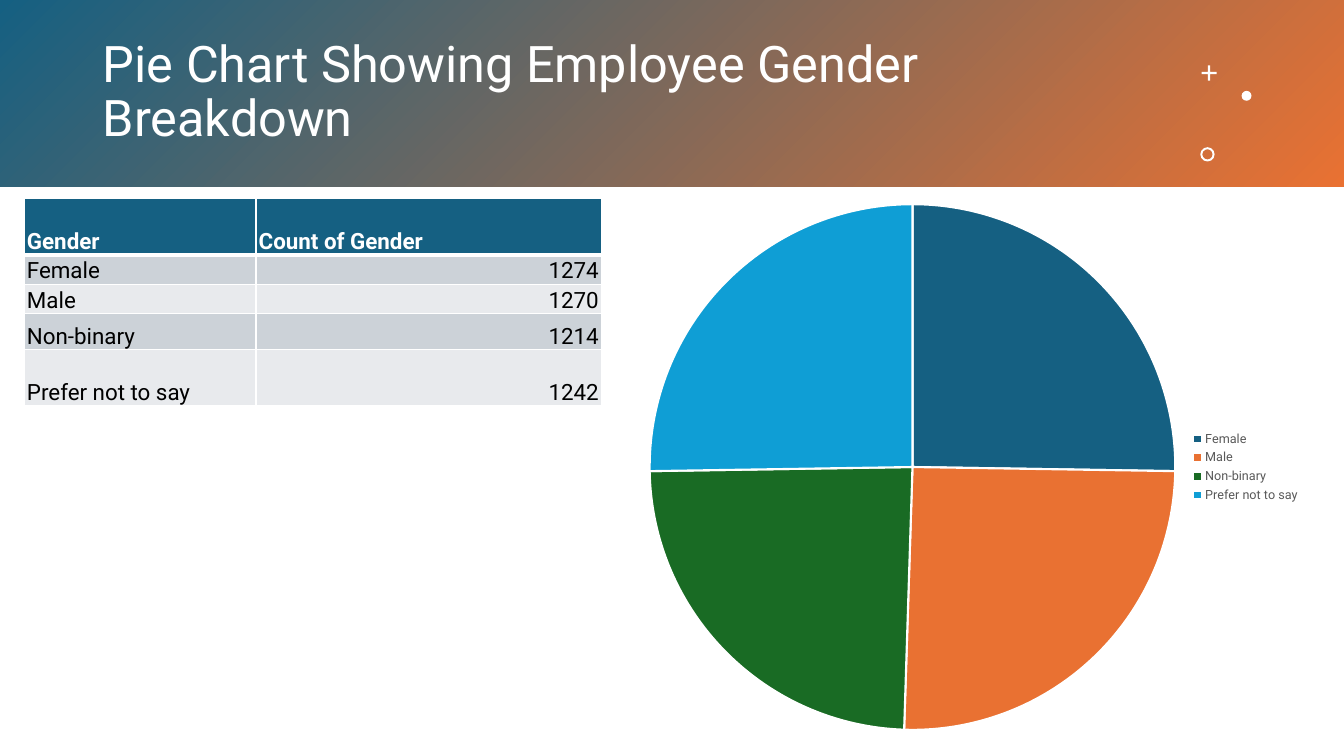
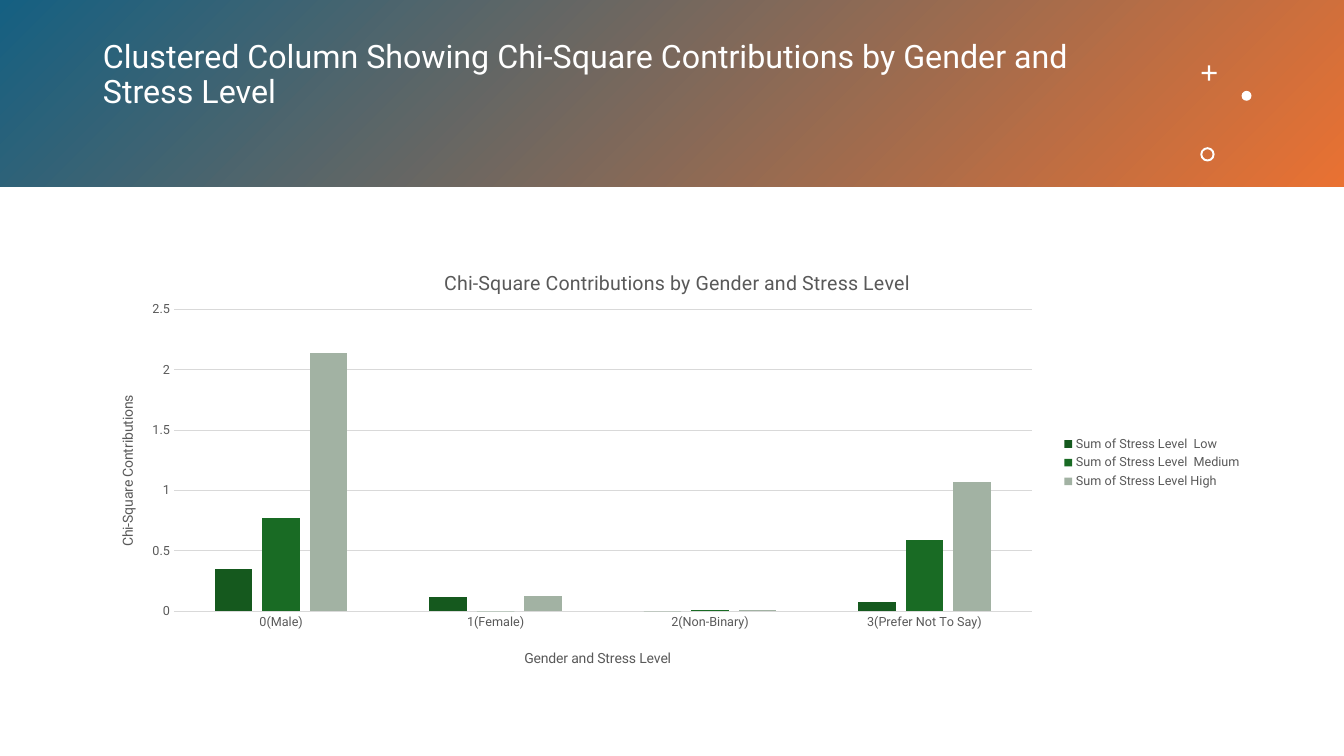
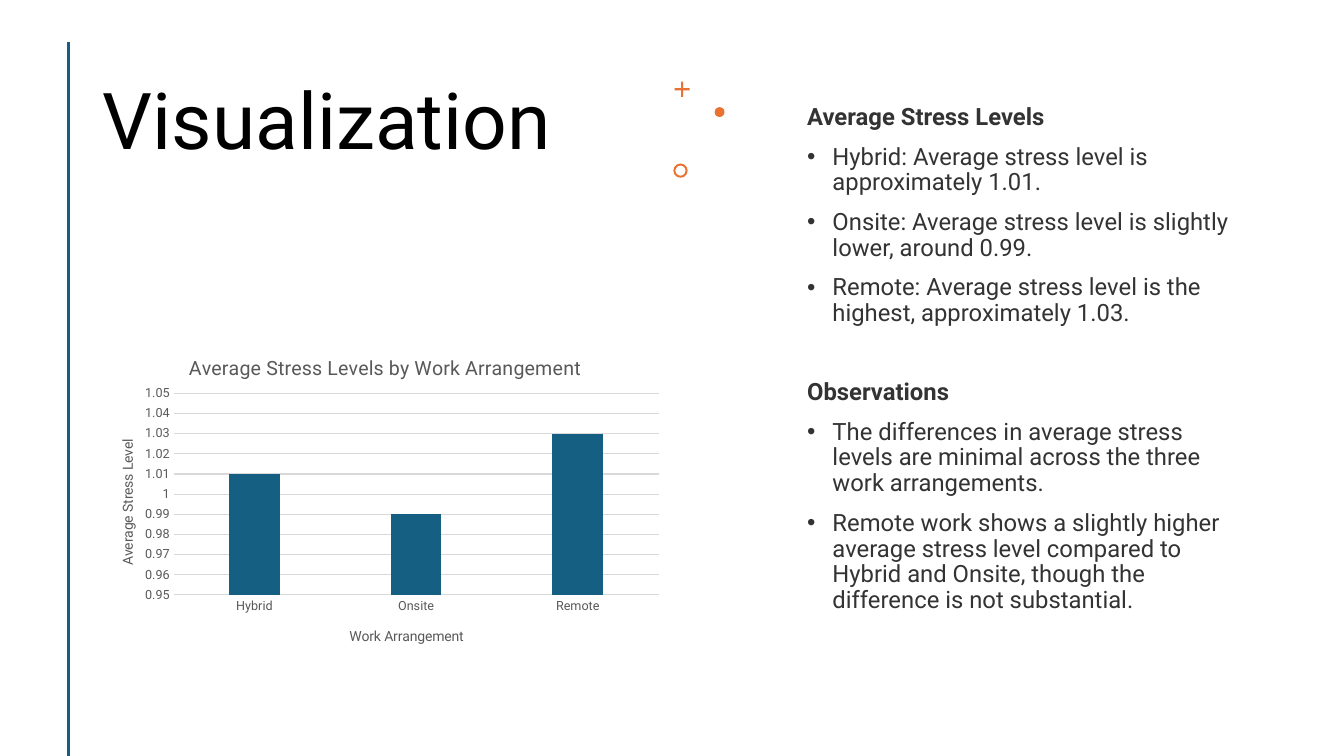
from dataclasses import dataclass
from typing import Any

from lxml.etree import SubElement
from pptx import Presentation
from pptx.chart.data import CategoryChartData
from pptx.dml.color import RGBColor
from pptx.enum.chart import XL_CHART_TYPE, XL_LEGEND_POSITION, XL_TICK_MARK
from pptx.enum.shapes import MSO_CONNECTOR, MSO_SHAPE
from pptx.enum.text import MSO_ANCHOR, MSO_AUTO_SIZE, PP_ALIGN
from pptx.oxml.ns import qn
from pptx.util import Cm, Pt

FONT = "Roboto"
WHITE = RGBColor(0xFF, 0xFF, 0xFF)
BLACK = RGBColor(0, 0, 0)
BLUE = RGBColor(0x15, 0x60, 0x82)
ORANGE = RGBColor(0xE9, 0x71, 0x32)
GREEN = RGBColor(0x19, 0x6B, 0x24)
DARK = RGBColor(0x15, 0x59, 0x1E)
SAGE = RGBColor(0xA2, 0xB2, 0xA3)
SKY = RGBColor(0x0F, 0x9E, 0xD5)
GREY = RGBColor(0x59, 0x59, 0x59)
RULE = RGBColor(0xD9, 0xD9, 0xD9)
INK = RGBColor(0x33, 0x33, 0x33)
BANDS = (RGBColor(0xCC, 0xD2, 0xD8), RGBColor(0xE8, 0xEA, 0xED))

WIDE, HIGH = 33.87, 19.05
LEFT = 2.34

Box = tuple[float, float, float, float]


@dataclass
class Icon:
    kind: MSO_SHAPE
    x: float
    y: float
    size: float
    ratio: float | None = None


@dataclass
class Label:
    text: str
    x: float
    y: float
    size: int = 10


@dataclass
class Series:
    name: str
    values: tuple[float, ...]
    color: RGBColor


@dataclass
class Columns:
    box: Box
    plot: Box
    title: Label
    across: Label
    upright: Label
    names: tuple[str, ...]
    series: list[Series]
    scale: dict[str, float]
    legend: bool = False


@dataclass
class Part:
    head: str
    points: tuple[str, ...]
    before: int


ICONS = (
    Icon(MSO_SHAPE.CROSS, 0.03, 0, 0.38, 0.43),
    Icon(MSO_SHAPE.OVAL, 1.04, 0.64, 0.25),
    Icon(MSO_SHAPE.DONUT, 0, 2.06, 0.36, 0.14),
)


# Shared helpers
def assign(item: Any, values: dict[str, Any]) -> None:
    for name, value in values.items():
        setattr(item, name, value)


def set_font(font: Any, size: float, color: RGBColor, bold: bool = False) -> None:
    assign(font, {"name": FONT, "size": Pt(size), "bold": bold})
    font.color.rgb = color


def paint(item: Any, color: RGBColor) -> None:
    item.fill.solid()
    item.fill.fore_color.rgb = color


def spot(box: Box) -> list[Cm]:
    return [Cm(value) for value in box]


def add_icons(slide: Any, x: float, y: float, color: RGBColor) -> None:
    for icon in ICONS:
        box = (x + icon.x, y + icon.y, icon.size, icon.size)
        shape = slide.shapes.add_shape(icon.kind, *spot(box))
        if icon.ratio:
            shape.adjustments[0] = icon.ratio
        shape.shadow.inherit = False
        paint(shape, color)
        shape.line.fill.background()


def set_title(slide: Any, text: str, box: Box, size: int, color: RGBColor,
              anchor: MSO_ANCHOR, bottom: float = 0.13) -> None:
    title = slide.shapes.title
    assign(title, dict(zip(("left", "top", "width", "height"), spot(box))))
    frame = title.text_frame
    assign(frame, {
        "text": text, "word_wrap": True, "auto_size": MSO_AUTO_SIZE.NONE,
        "vertical_anchor": anchor, "margin_bottom": Cm(bottom),
    })
    line = frame.paragraphs[0]
    assign(line, {"alignment": PP_ALIGN.LEFT, "line_spacing": 0.9})
    set_font(line.runs[0].font, size, color)


def add_header(slide: Any, text: str, size: int, bottom: float = 0.13) -> None:
    band = slide.shapes.add_shape(MSO_SHAPE.RECTANGLE, *spot((0, 0, WIDE, 4.7)))
    band.shadow.inherit = False
    band.line.fill.background()
    band.fill.gradient()
    band.fill.gradient_angle = 315
    for stop, color, place in zip(band.fill.gradient_stops, (BLUE, ORANGE), (0, 1)):
        stop.color.rgb = color
        stop.position = place
    # Send the band behind the title
    band.element.getparent().insert(2, band.element)
    set_title(slide, text, (LEFT, 0.84, 27.3, 3.02), size, WHITE,
              MSO_ANCHOR.MIDDLE, bottom)
    add_icons(slide, 30.25, 1.65, WHITE)


# Charts
def place(parent: Any, values: dict[str, float], index: int, inner: bool = False) -> None:
    for old in parent.findall(qn("c:layout")):
        parent.remove(old)
    layout = parent.makeelement(qn("c:layout"), {})
    parent.insert(index, layout)
    manual = SubElement(layout, qn("c:manualLayout"))
    items: dict[str, Any] = {"layoutTarget": "inner"} if inner else {}
    items |= {"xMode": "edge", "yMode": "edge"} | values
    for name, value in items.items():
        SubElement(manual, qn(f"c:{name}"), val=str(value))


def set_plot(chart: Any, box: Box) -> None:
    area = chart.element.find(".//" + qn("c:plotArea"))
    place(area, dict(zip("xywh", box)), 0, True)


def set_label(title: Any, label: Label, turn: bool = False) -> None:
    title.text_frame.text = label.text
    set_font(title.text_frame.paragraphs[0].runs[0].font, label.size, GREY)
    place(title.element, {"x": label.x, "y": label.y}, 1)
    if turn:
        body = title.element.find(".//" + qn("a:bodyPr"))
        body.set("rot", "-5400000")
        body.set("vert", "horz")


def add_chart(slide: Any, kind: XL_CHART_TYPE, box: Box, names: tuple[str, ...],
              series: list[Series]) -> Any:
    data = CategoryChartData()
    data.categories = names
    for item in series:
        data.add_series(item.name, item.values)
    chart = slide.shapes.add_chart(kind, *spot(box), data).chart
    set_font(chart.font, 10, BLACK)
    return chart


def add_legend(chart: Any) -> None:
    chart.has_legend = True
    assign(chart.legend, {"position": XL_LEGEND_POSITION.RIGHT,
                          "include_in_layout": False})
    set_font(chart.legend.font, 9, GREY)


def add_columns(slide: Any, spec_: Columns) -> None:
    chart = add_chart(slide, XL_CHART_TYPE.COLUMN_CLUSTERED, spec_.box,
                      spec_.names, spec_.series)
    chart.has_title = True
    set_label(chart.chart_title, spec_.title)
    plot = chart.plots[0]
    assign(plot, {"gap_width": 219, "overlap": -27, "vary_by_categories": False})
    for drawn, item in zip(plot.series, spec_.series):
        drawn.invert_if_negative = False
        paint(drawn.format, item.color)
    for axis, label in ((chart.category_axis, spec_.across),
                        (chart.value_axis, spec_.upright)):
        assign(axis, {"major_tick_mark": XL_TICK_MARK.NONE,
                      "minor_tick_mark": XL_TICK_MARK.NONE, "has_title": True})
        set_font(axis.tick_labels.font, 9, GREY)
        set_label(axis.axis_title, label, label is spec_.upright)
    value = chart.value_axis
    assign(value, {"has_major_gridlines": True} | spec_.scale)
    value.format.line.fill.background()
    for line in (chart.category_axis.format.line, value.major_gridlines.format.line):
        line.color.rgb = RULE
        line.width = Pt(0.75)
    if spec_.legend:
        add_legend(chart)
    else:
        chart.has_legend = False
    set_plot(chart, spec_.plot)


# Table
def add_border(cell: Any, side: str, width: float) -> None:
    line = SubElement(cell, qn(f"a:{side}"), w=str(Pt(width)))
    fill = SubElement(line, qn("a:solidFill"))
    SubElement(fill, qn("a:srgbClr"), val=str(WHITE))


def add_counts(slide: Any, rows: list[tuple[str, str]]) -> None:
    highs = (1.42, 0.74, 0.74, 0.91, 1.42)
    wides = (5.84, 8.71)
    frame = slide.shapes.add_table(
        len(rows), len(wides), *spot((0.61, 5, sum(wides), sum(highs))))
    table = frame.table
    table.horz_banding = False
    for column, wide in zip(table.columns, wides):
        column.width = Cm(wide)
    for r, (row, high) in enumerate(zip(rows, highs)):
        table.rows[r].height = Cm(high)
        for c, text in enumerate(row):
            cell = table.cell(r, c)
            assign(cell, {
                "text": text, "vertical_anchor": MSO_ANCHOR.BOTTOM,
                "margin_left": Cm(0.07), "margin_right": Cm(0.07),
                "margin_top": Cm(0.07), "margin_bottom": 0,
            })
            line = cell.text_frame.paragraphs[0]
            line.alignment = PP_ALIGN.RIGHT if r and c else PP_ALIGN.LEFT
            set_font(line.runs[0].font, 16, BLACK if r else WHITE, not r)
    # Borders come before the fill in each cell
    for i, cell in enumerate(frame.element.iter(qn("a:tcPr"))):
        r = i // len(wides)
        for side in ("lnL", "lnR", "lnT", "lnB"):
            thick = (r == 0 and side == "lnB") or (r == 1 and side == "lnT")
            add_border(cell, side, 3 if thick else 1)
    for r in range(len(rows)):
        for c in range(len(wides)):
            paint(table.cell(r, c), BANDS[(r - 1) % 2] if r else BLUE)


# Bulleted text
def add_text(slide: Any, parts: list[Part]) -> None:
    box = slide.shapes.add_textbox(*spot((20.09, 2.44, 11.46, 14.22)))
    frame = box.text_frame
    assign(frame, {"word_wrap": True, "vertical_anchor": MSO_ANCHOR.MIDDLE,
                   "margin_bottom": Cm(1.12)})
    lines = [(text, i == 0, part.before if i == 0 else 10)
             for part in parts
             for i, text in enumerate((part.head, *part.points))]
    for i, (text, bold, before) in enumerate(lines):
        line = frame.add_paragraph() if i else frame.paragraphs[0]
        assign(line, {"text": text, "line_spacing": 0.9, "space_before": Pt(before)})
        set_font(line.runs[0].font, 17, INK, bold)
        if not bold:
            props = line._p.get_or_add_pPr()
            props.set("marL", str(Cm(0.64)))
            props.set("indent", str(-Cm(0.64)))
            SubElement(props, qn("a:buFont"), typeface="Arial")
            SubElement(props, qn("a:buChar"), char="•")


# Slides
def gender_slide(slide: Any) -> None:
    add_header(slide, "Pie Chart Showing Employee Gender Breakdown", 36)
    names = ("Female", "Male", "Non-binary", "Prefer not to say")
    counts = ("1274", "1270", "1214", "1242")
    add_counts(slide, [("Gender", "Count of Gender"), *zip(names, counts)])
    chart = add_chart(slide, XL_CHART_TYPE.PIE, (16.03, 4.57, 16.99, 14.4), names,
                      [Series("Series 1", (25, 25, 24, 25), BLUE)])
    chart.has_title = False
    add_legend(chart)
    chart.plots[0].vary_by_categories = True
    for i, color in enumerate((BLUE, ORANGE, GREEN, SKY)):
        style = chart.plots[0].series[0].points[i].format
        paint(style, color)
        style.line.color.rgb = WHITE
        style.line.width = Pt(1.5)
    set_plot(chart, (0.02, 0.04, 0.78, 0.92))


def stress_slide(slide: Any) -> None:
    add_header(slide, "Clustered Column Showing Chi-Square Contributions "
               "by Gender and Stress Level", 23, 1.02)
    add_columns(slide, Columns(
        (LEFT, 6.15, 29.21, 11.02), (0.07, 0.15, 0.74, 0.69),
        Label("Chi-Square Contributions by Gender and Stress Level", 0.3, 0.05, 14),
        Label("Gender and Stress Level", 0.37, 0.92),
        Label("Chi-Square Contributions", 0.02, 0.34),
        ("0(Male)", "1(Female)", "2(Non-Binary)", "3(Prefer Not To Say)"),
        [
            Series("Sum of Stress Level  Low", (0.35, 0.12, 0, 0.08), DARK),
            Series("Sum of Stress Level  Medium", (0.77, 0, 0.01, 0.59), GREEN),
            Series("Sum of Stress Level High", (2.14, 0.13, 0.01, 1.07), SAGE),
        ],
        {"minimum_scale": 0, "maximum_scale": 2.5, "major_unit": 0.5}, True))


def work_slide(slide: Any) -> None:
    set_title(slide, "Visualization", (LEFT, 1.93, 14.55, 6.17), 56, BLACK,
              MSO_ANCHOR.TOP)
    rule = slide.shapes.add_connector(
        MSO_CONNECTOR.STRAIGHT, *spot((1.73, 1.07, 1.73, HIGH)))
    rule.line.color.rgb = BLUE
    rule.line.width = Pt(2)
    SubElement(rule.element.spPr, qn("a:effectLst"))
    add_icons(slide, 16.97, 2.06, ORANGE)
    add_text(slide, [
        Part("Average Stress Levels", (
            "Hybrid: Average stress level is approximately 1.01.",
            "Onsite: Average stress level is slightly lower, around 0.99.",
            "Remote: Average stress level is the highest, approximately 1.03.",
        ), 10),
        Part("Observations", (
            "The differences in average stress levels are minimal across "
            "the three work arrangements.",
            "Remote work shows a slightly higher average stress level compared "
            "to Hybrid and Onsite, though the difference is not substantial.",
        ), 38),
    ])
    add_columns(slide, Columns(
        (LEFT, 8.33, 14.55, 8.33), (0.14, 0.19, 0.84, 0.61),
        Label("Average Stress Levels by Work Arrangement", 0.16, 0.06, 14),
        Label("Work Arrangement", 0.44, 0.89),
        Label("Average Stress Level", 0.04, 0.32),
        ("Hybrid", "Onsite", "Remote"),
        [Series("Series 1", (1.01, 0.99, 1.03), BLUE)],
        {"minimum_scale": 0.95, "maximum_scale": 1.05, "major_unit": 0.01}))


def main() -> None:
    deck = Presentation()
    assign(deck, {"slide_width": Cm(WIDE), "slide_height": Cm(HIGH)})
    for build in (gender_slide, stress_slide, work_slide):
        build(deck.slides.add_slide(deck.slide_layouts[5]))
    deck.save("out.pptx")


if __name__ == "__main__":
    main()
